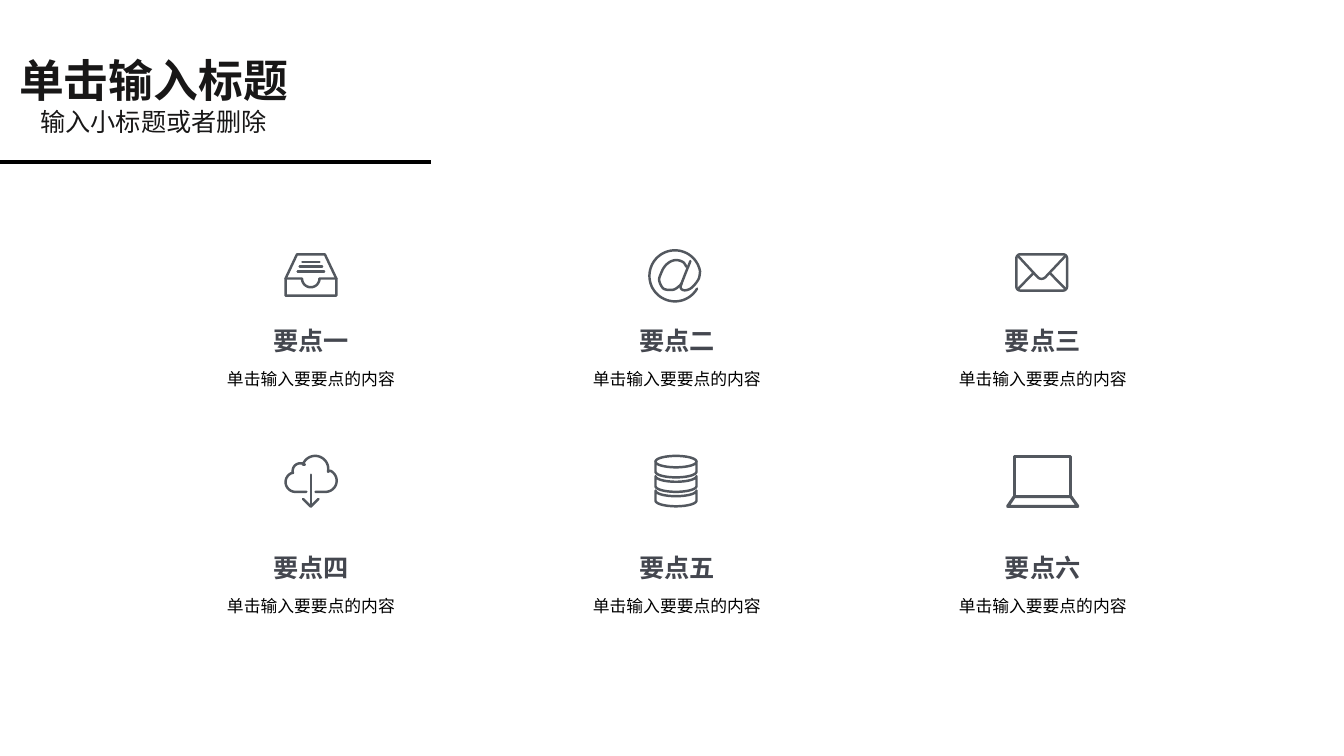
"""Builds a slide with six icon points under a ruled title."""
import math
import pptx
import pptx.util
import pptx.dml.color
import pptx.enum.shapes
import pptx.enum.text
import pptx.oxml.ns
import lxml.etree

PX = 3048
COLORS = {"title": "181717", "heading": "44474F", "body": "000000", "icon": "53585F", "rule": "000000"}
CENTER = pptx.enum.text.PP_ALIGN.CENTER
MIDDLE = pptx.enum.text.MSO_ANCHOR.MIDDLE
GROW = pptx.enum.text.MSO_AUTO_SIZE.SHAPE_TO_FIT_TEXT


def arc(center_x, center_y, radius_x, radius_y, start, end):
    """Return points along an elliptical arc, angles in degrees clockwise."""
    steps = max(8, round(abs(end - start) / 6))
    angles = [math.radians(start + (end - start) * step / steps) for step in range(steps + 1)]
    return [(center_x + radius_x * math.cos(angle), center_y + radius_y * math.sin(angle)) for angle in angles]


def smooth(points):
    """Return points of a Catmull-Rom curve through the given points."""
    padded = [points[0], *points, points[-1]]
    curve = []
    for a, b, c, d in zip(padded, padded[1:], padded[2:], padded[3:]):
        for step in range(8):
            t = step / 8
            curve.append(tuple(
                0.5 * (2 * q + (r - p) * t + (2 * p - 5 * q + 4 * r - s) * t**2 + (3 * q - p - 3 * r + s) * t**3)
                for p, q, r, s in zip(a, b, c, d)))
    return curve + [points[-1]]


def tray():
    """Return the strokes of a document tray."""
    return [
        [(4, 76), (38, 4), (121, 4), (155, 76), (155, 127), (4, 127), (4, 76)],
        [(4, 76), *arc(79, 76, 26, 26, 180, 0), (155, 76)],
        [(54, 27), (105, 27)], [(46, 40), (113, 40)], [(40, 55), (119, 55)],
    ]


def at_sign():
    """Return the strokes of an at sign."""
    tail = [(155, 66), (151, 88), (138, 107), (124, 119), (108, 123), (98, 117), (100, 102), (126, 36)]
    bowl = [(114, 53), (104, 39), (84, 33), (64, 39), (48, 54), (38, 74), (33, 93),
            (42, 114), (54, 121), (76, 121), (92, 111), (100, 102)]
    return [arc(80, 80, 76, 76, 30, 350) + smooth(tail), smooth(bowl)]


def envelope():
    """Return the strokes of an envelope."""
    frame = (arc(16, 16, 12, 12, 180, 270) + arc(143, 16, 12, 12, 270, 360)
             + arc(143, 100, 12, 12, 0, 90) + arc(16, 100, 12, 12, 90, 180))
    return [
        frame + frame[:1],
        [(8, 8), *arc(79, 61, 16, 16, 135, 45), (151, 8)],
        [(8, 108), (54, 61)], [(151, 108), (105, 61)],
    ]


def cloud():
    """Return the strokes of a download cloud."""
    outline = (arc(33, 82, 29, 29, 90, 248) + arc(48, 49, 23, 23, 165, 305)
               + arc(92, 43, 39, 39, 200, 372) + arc(123, 78, 33, 33, -66, 90))
    return [[(66, 111), *outline, (93, 111)], [(79, 60), (79, 155)], [(56, 132), (79, 155), (102, 132)]]


def database():
    """Return the strokes of three stacked discs."""
    strokes = [arc(65, 21, 61, 17, 180, 360)]
    for rim in range(21, 150, 43):
        disc = arc(65, rim, 61, 17, 0, 180) + arc(65, rim + 30, 61, 17, 180, 0)
        strokes.append(disc + disc[:1])
    return strokes


def laptop():
    """Return the strokes of a laptop."""
    return [[(25, 125), (25, 5), (193, 5), (193, 125)], [(25, 125), (193, 125), (214, 154), (5, 154), (25, 125)]]


class SlideBuilder:
    """Holds the slide and its style and adds each kind of element."""

    def __init__(self, presentation):
        """Add a blank slide."""
        self.slide = presentation.slides.add_slide(presentation.slide_layouts[6])
        self.font = "Arial"

    def color(self, name):
        """Return a named colour."""
        return pptx.dml.color.RGBColor.from_string(COLORS[name])

    def text(self, box, lines, paragraph_format=None, **frame_format):
        """Add a centred text box of (text, size, bold, colour) lines."""
        shape = self.slide.shapes.add_textbox(*(value * PX for value in box))
        frame = shape.text_frame
        for name, value in {"word_wrap": True, "auto_size": GROW, **frame_format}.items():
            setattr(frame, name, value)
        for index, (text, size, bold, color) in enumerate(lines):
            paragraph = frame.add_paragraph() if index else frame.paragraphs[0]
            for name, value in {"alignment": CENTER, **(paragraph_format or {})}.items():
                setattr(paragraph, name, value)
            run = paragraph.add_run()
            run.text = text
            for name, value in {"name": self.font, "size": pptx.util.Pt(size), "bold": bold}.items():
                setattr(run.font, name, value)
            run.font.color.rgb = self.color(color)

    def icon(self, left, top, strokes, weight):
        """Add one outlined freeform made of several strokes."""
        contours = [[((left + x) * PX, (top + y) * PX) for x, y in stroke] for stroke in strokes]
        builder = self.slide.shapes.build_freeform(*contours[0][0])
        for contour in contours:
            builder.move_to(*contour[0])
            builder.add_line_segments(contour[1:], close=False)
        shape = builder.convert_to_shape()
        shape.shadow.inherit = False
        shape.fill.background()
        shape.line.color.rgb = self.color("icon")
        shape.line.width = pptx.util.Pt(weight)
        outline = shape._element.spPr.find(pptx.oxml.ns.qn("a:ln"))
        outline.set("cap", "rnd")
        lxml.etree.SubElement(outline, pptx.oxml.ns.qn("a:round"))

    def rule(self, left, right, top, weight):
        """Add a horizontal line."""
        line = self.slide.shapes.add_connector(
            pptx.enum.shapes.MSO_CONNECTOR.STRAIGHT, left * PX, top * PX, right * PX, top * PX)
        line.line.color.rgb = self.color("rule")
        line.line.width = pptx.util.Pt(weight)
        lxml.etree.SubElement(line._element.spPr, pptx.oxml.ns.qn("a:effectLst"))


def main():
    """Build and save the slide."""
    presentation = pptx.Presentation()
    presentation.slide_width = 4000 * PX
    presentation.slide_height = 2250 * PX
    builder = SlideBuilder(presentation)
    builder.text((0, 141, 915, 282), [("单击输入标题", 32, True, "title"), ("输入小标题或者删除", 18, False, "title")])
    builder.rule(0, 1284, 483, 3)
    points = [
        ("要点一", tray, 846, 753, 1.75),
        ("要点二", at_sign, 1929, 741, 1.75),
        ("要点三", envelope, 3021, 753, 1.75),
        ("要点四", cloud, 846, 1353, 1.75),
        ("要点五", database, 1947, 1353, 1.75),
        ("要点六", laptop, 2994, 1353, 2.25),
    ]
    margins = {f"margin_{side}": 18 * PX for side in ("left", "top", "right", "bottom")}
    for index, (heading, draw, left, top, weight) in enumerate(points):
        row, column = divmod(index, 3)
        across, down = column * 1089, row * 675
        builder.icon(left, top, draw(), weight)
        builder.text((795 + across, 945 + down, 261, 127), [(heading, 18, True, "heading")],
                     {"line_spacing": 1.1}, word_wrap=False, vertical_anchor=MIDDLE, **margins)
        builder.text((567 + across, 1071 + down, 717, 99), [("单击输入要要点的内容", 12, False, "body")],
                     {"line_spacing": 1.2})
    presentation.save("out.pptx")


if __name__ == "__main__":
    main()
